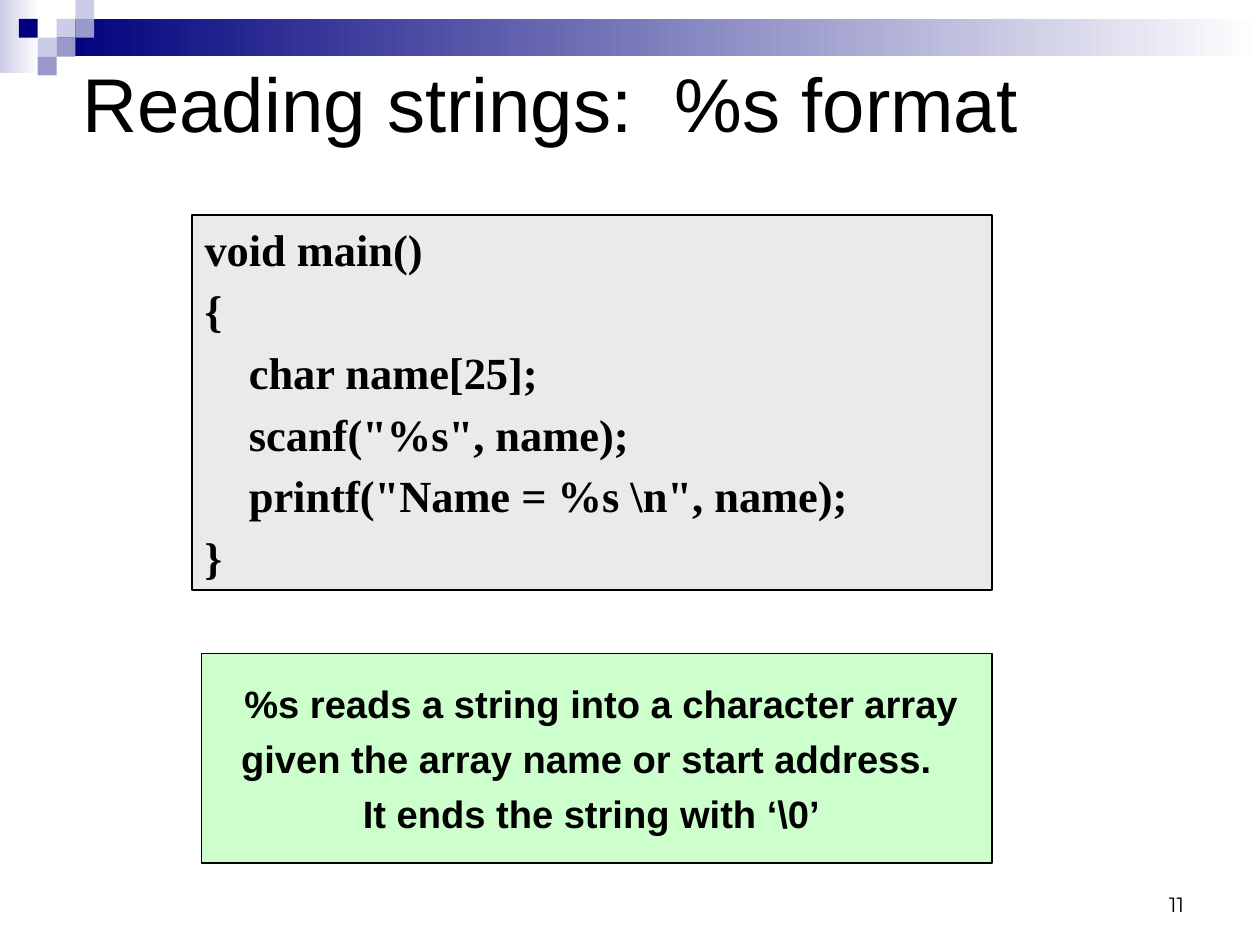
from dataclasses import dataclass

from pptx import Presentation
from pptx.dml.color import RGBColor
from pptx.enum.shapes import MSO_SHAPE
from pptx.enum.text import MSO_ANCHOR, PP_ALIGN
from pptx.util import Emu, Inches, Pt

RECTANGLE = MSO_SHAPE.RECTANGLE
TOP, MIDDLE, BOTTOM = MSO_ANCHOR.TOP, MSO_ANCHOR.MIDDLE, MSO_ANCHOR.BOTTOM
LEFT, CENTER, RIGHT = PP_ALIGN.LEFT, PP_ALIGN.CENTER, PP_ALIGN.RIGHT

PAGE_WIDTH, PAGE_HEIGHT = Emu(10080625), Emu(7559675)
BLACK, WHITE = "000000", "FFFFFF"
NAVY, LAVENDER, PERIWINKLE = "00007D", "CCCCE6", "9999CC"
CODE_GRAY, NOTE_GREEN = "EAEAEA", "CCFFCC"
TILE = 0.66 / 4

CODE = """void main()
{
    char name[25];
    scanf("%s", name);
    printf("Name = %s \\n", name);
}"""
NOTE = """%s reads a string into a character array
given the array name or start address.
It ends the string with ‘\\0’"""


@dataclass(frozen=True)
class Area:
    left: float
    top: float
    width: float
    height: float

    def lengths(self) -> list[Inches]:
        return [Inches(v) for v in (self.left, self.top, self.width, self.height)]


@dataclass(frozen=True)
class Tile:
    column: int
    row: int
    color: str


TILES = [
    Tile(3, 1, LAVENDER),
    Tile(4, 0, LAVENDER),
    Tile(4, 1, PERIWINKLE),
    Tile(2, 2, LAVENDER),
    Tile(1, 1, NAVY),
    Tile(3, 2, PERIWINKLE),
    Tile(2, 3, PERIWINKLE),
]


def rgb(color: str) -> RGBColor:
    return RGBColor.from_string(color)


def add_panel(page, area: Area, color: str, *, fade_to: str = "", line: float = 0):
    """Add a rectangle, plain or fading to the right, with an optional black outline."""
    panel = page.shapes.add_shape(RECTANGLE, *area.lengths())
    panel.shadow.inherit = False
    if fade_to:
        panel.fill.gradient()
        panel.fill.gradient_angle = 0
        for stop, stop_color in zip(panel.fill.gradient_stops, (color, fade_to)):
            stop.color.rgb = rgb(stop_color)
    else:
        panel.fill.solid()
        panel.fill.fore_color.rgb = rgb(color)
    if line:
        panel.line.color.rgb = rgb(BLACK)
        panel.line.width = Pt(line)
    else:
        panel.line.fill.background()
    return panel


def write(box, text: str, *, font: str, size: float, bold: bool = False,
          align=LEFT, anchor=TOP, gap: float = 0,
          insets=(0.11, 0.06, 0.11, 0.06), indents=()) -> None:
    """Fill a box line by line; indents holds (left, right) margins per line."""
    frame = box.text_frame
    frame.word_wrap = True
    frame.vertical_anchor = anchor
    (frame.margin_left, frame.margin_top,
     frame.margin_right, frame.margin_bottom) = map(Inches, insets)
    for index, line in enumerate(text.split("\n")):
        para = frame.add_paragraph() if index else frame.paragraphs[0]
        para.alignment = align
        if index:
            para.space_before = Pt(gap)
        if indents:
            properties = para._p.get_or_add_pPr()
            for name, margin in zip(("marL", "marR"), indents[index]):
                properties.set(name, str(Inches(margin)))
        span = para.add_run()
        span.text = line
        span.font.name = font
        span.font.size = Pt(size)
        span.font.bold = bold
        span.font.color.rgb = rgb(BLACK)


def add_header(page) -> None:
    add_panel(page, Area(0, 0, 0.34, 0.64), LAVENDER, fade_to=WHITE)
    add_panel(page, Area(0.5, TILE, 10.53, 2 * TILE), NAVY, fade_to=WHITE)
    for tile in TILES:
        area = Area(tile.column * TILE, tile.row * TILE, TILE, TILE)
        add_panel(page, area, tile.color)


def main() -> None:
    deck = Presentation()
    deck.slide_width = PAGE_WIDTH
    deck.slide_height = PAGE_HEIGHT
    page = deck.slides.add_slide(deck.slide_layouts[6])
    add_header(page)

    number = page.shapes.add_textbox(*Area(7.9, 7.53, 2.57, 0.55).lengths())
    write(number, "11", font="Montserrat", size=13, align=RIGHT, anchor=BOTTOM)

    title = page.shapes.add_textbox(*Area(0.61, 0.47, 10.41, 0.84).lengths())
    write(title, "Reading strings:  %s format", font="Arial", size=48, anchor=MIDDLE)

    code = add_panel(page, Area(1.68, 1.88, 7, 3.28), CODE_GRAY, line=1)
    write(code, CODE, font="Times New Roman", size=28, bold=True, gap=5.2)

    note = add_panel(page, Area(1.76, 5.72, 6.92, 1.83), NOTE_GREEN, line=0.75)
    write(note, NOTE, font="Arial", size=24, bold=True, align=CENTER, anchor=MIDDLE,
          gap=6, insets=(0, 0, 0, 0), indents=((0.08, 0), (0, 0.18), (0, 0.09)))

    deck.save("out.pptx")


if __name__ == "__main__":
    main()
